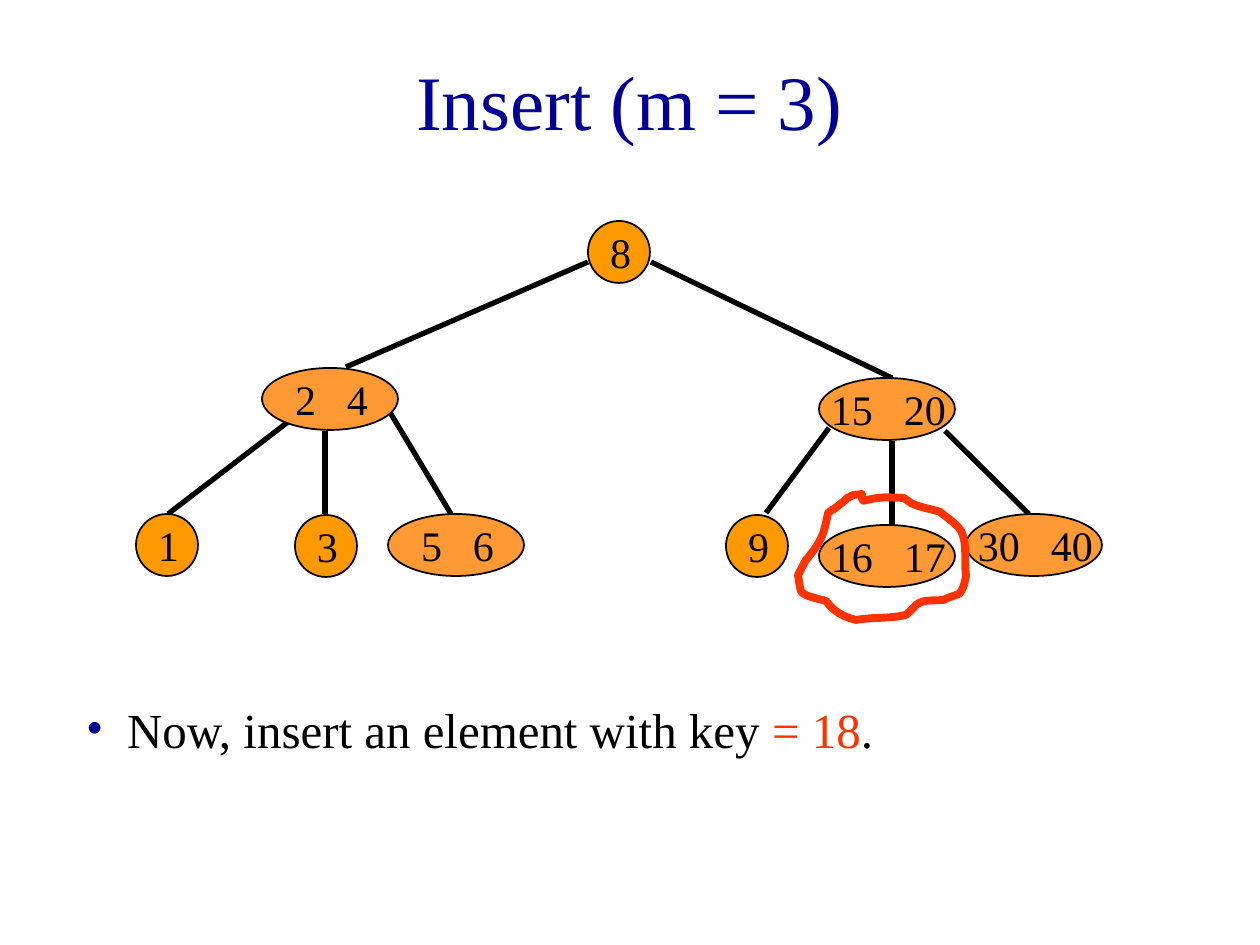
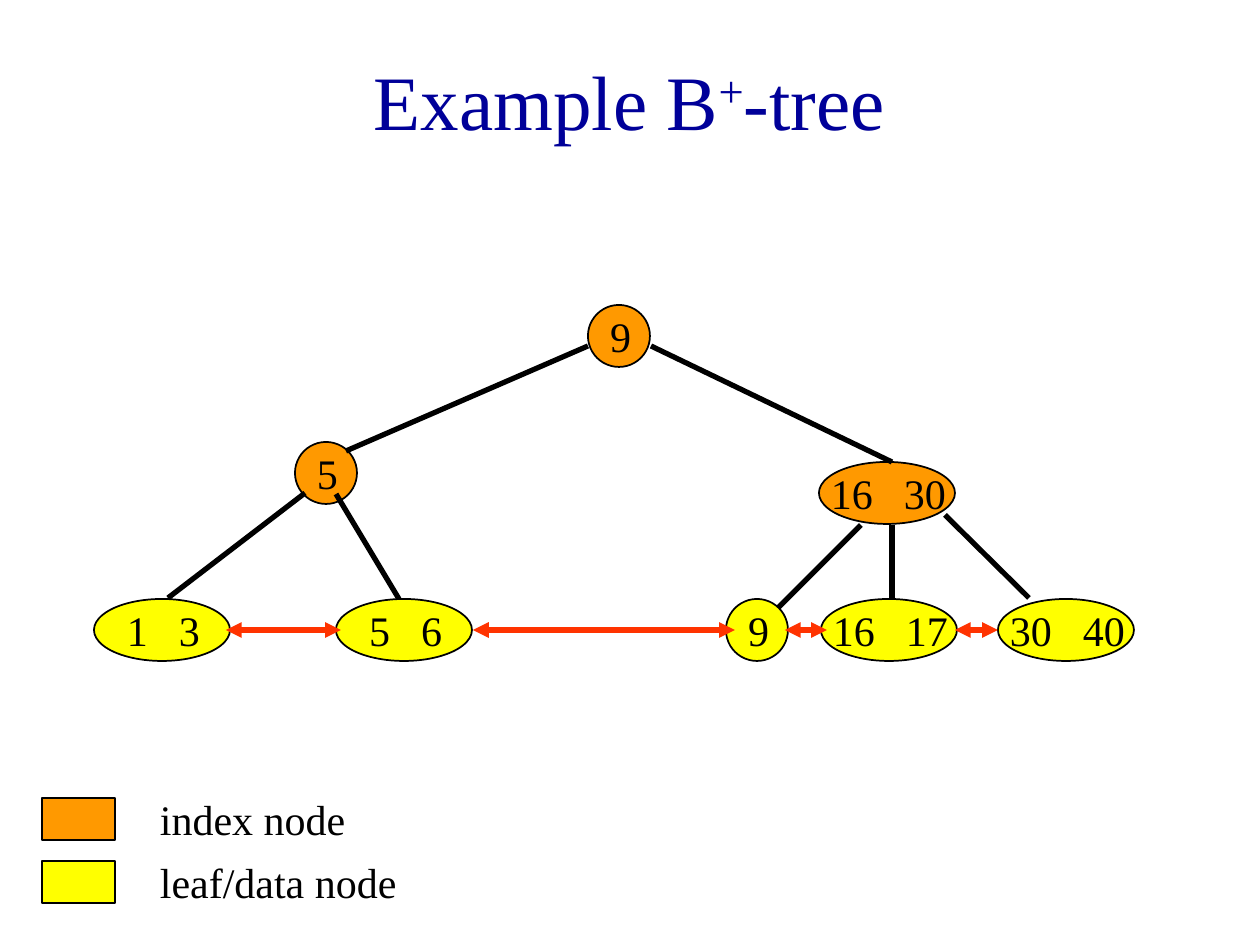
from dataclasses import dataclass
from lxml.etree import SubElement
from pptx import Presentation
from pptx.dml.color import RGBColor
from pptx.enum.shapes import MSO_CONNECTOR, MSO_SHAPE
from pptx.enum.text import MSO_ANCHOR, PP_ALIGN
from pptx.oxml.ns import qn
from pptx.util import Emu, Pt


@dataclass(frozen=True)
class Theme:
    font: str = "Times New Roman"
    title: str = "000099"
    ink: str = "000000"
    accent: str = "FF3300"
    index: str = "FF9900"
    pair: str = "FF9933"
    leaf: str = "FFFF00"
    title_size: int = 44
    body_size: int = 28
    key_size: int = 24


THEME = Theme()
PX_PER_INCH = 126
TITLE_BOX = (94, 21, 1071, 158)

# Tree geometry, relative to the tree's top left corner
NODE_HEIGHT = 62
PAIR_WIDTH = 136
DIGIT_WIDTH = 21
KEY_GAP = 31
KEY_SHIFT = 2
ROOT = (494, 0)
SHARED_EDGES = [
    (494, 41, 252, 146), (557, 41, 798, 157),   # root to its children
    (211, 188, 74, 293),                        # left child to first leaf
    (798, 220, 798, 304), (851, 210, 935, 293), # right child to last leaves
]

# Hand-drawn loop: start, then two controls and an end for each curve
LOOP_START = (64, 0)
LOOP_CURVES = [
    (60, 1, 55, 0, 52, 3), (49, 3, 48, 6, 45, 8),
    (25, 24, 43, 9, 30, 19), (28, 29, 26, 40, 21, 48),
    (18, 54, 13, 60, 8, 66), (5, 71, 3, 76, 0, 81),
    (1, 86, 1, 91, 3, 97), (4, 102, 21, 105, 28, 107),
    (35, 117, 45, 123, 58, 126), (74, 123, 92, 125, 108, 121),
    (112, 117, 115, 115, 118, 111), (125, 105, 137, 107, 146, 106),
    (151, 103, 156, 102, 161, 100), (166, 96, 168, 82, 168, 82),
    (166, 68, 169, 54, 165, 42), (164, 33, 149, 24, 142, 18),
    (134, 15, 123, 14, 115, 10), (113, 10, 107, 4, 105, 4),
    (63, 0, 64, 15, 64, 0),
]
CURVE_STEPS = 6


def px(length):
    return Emu(round(length * 914400 / PX_PER_INCH))


def rgb(color):
    return RGBColor.from_string(color)


def style_run(run, size, color):
    run.font.name = THEME.font
    run.font.size = Pt(size)
    run.font.color.rgb = rgb(color)


def add_text(slide, box, pieces, size, inset=(13, 6)):
    """Write (text, colour) pieces as one paragraph and return its frame."""
    frame = slide.shapes.add_textbox(*map(px, box)).text_frame
    frame.word_wrap = True
    frame.margin_left = frame.margin_right = px(inset[0])
    frame.margin_top = frame.margin_bottom = px(inset[1])
    for text, color in pieces:
        run = frame.paragraphs[0].add_run()
        run.text = text
        style_run(run, size, color)
    return frame


def add_filled(slide, preset, box, color, width):
    shape = slide.shapes.add_shape(preset, *map(px, box))
    shape.shadow.inherit = False
    shape.fill.solid()
    shape.fill.fore_color.rgb = rgb(color)
    shape.line.color.rgb = rgb(THEME.ink)
    shape.line.width = Pt(width)


def add_line(slide, ends, color, arrows=False):
    line = slide.shapes.add_connector(MSO_CONNECTOR.STRAIGHT, *map(px, ends))
    line.line.color.rgb = rgb(color)
    line.line.width = Pt(3)
    properties = line._element.spPr
    if arrows:
        for end in ("a:headEnd", "a:tailEnd"):
            SubElement(properties.find(qn("a:ln")), qn(end), type="triangle")
    SubElement(properties, qn("a:effectLst"))


def add_title(slide, pieces):
    frame = add_text(slide, TITLE_BOX, [(text, THEME.title) for text in pieces],
                     THEME.title_size)
    frame.vertical_anchor = MSO_ANCHOR.MIDDLE
    frame.paragraphs[0].alignment = PP_ALIGN.CENTER
    return frame.paragraphs[0]


def add_node(slide, left, top, keys, color):
    """Draw a node; two keys are set apart by a tab stop."""
    width = PAIR_WIDTH if len(keys) == 2 else NODE_HEIGHT
    add_filled(slide, MSO_SHAPE.OVAL, (left, top, width, NODE_HEIGHT), color, 1)
    digits = sum(map(len, keys)) * DIGIT_WIDTH
    keys_width = digits + KEY_GAP * (len(keys) - 1)
    key_left = left + (width - keys_width) // 2 + KEY_SHIFT
    frame = add_text(slide, (key_left, top, keys_width + 8, NODE_HEIGHT),
                     [("\t".join(keys), THEME.ink)], THEME.key_size, (0, 6))
    if len(keys) == 2:
        stops = SubElement(frame.paragraphs[0]._p.get_or_add_pPr(), qn("a:tabLst"))
        stop = px(len(keys[0]) * DIGIT_WIDTH + KEY_GAP)
        SubElement(stops, qn("a:tab"), pos=str(stop), algn="l")


def add_tree(slide, left, top, behind, edges, front):
    """Nodes are (x, y, keys, colour); edges run between the two node layers."""
    def add_nodes(nodes):
        for x, y, keys, color in nodes:
            add_node(slide, left + x, top + y, keys.split(), color)

    add_nodes(behind)
    for x1, y1, x2, y2 in SHARED_EDGES + edges:
        add_line(slide, (left + x1, top + y1, left + x2, top + y2), THEME.ink)
    add_nodes(front)


def add_loop(slide, left, top):
    x, y = LOOP_START
    points = []
    for x1, y1, x2, y2, x3, y3 in LOOP_CURVES:
        for step in range(1, CURVE_STEPS + 1):
            t = step / CURVE_STEPS
            weights = ((1 - t) ** 3, 3 * t * (1 - t) ** 2, 3 * t * t * (1 - t), t ** 3)
            across = sum(w * v for w, v in zip(weights, (x, x1, x2, x3)))
            down = sum(w * v for w, v in zip(weights, (y, y1, y2, y3)))
            points.append((px(left + across), px(top + down)))
        x, y = x3, y3
    builder = slide.shapes.build_freeform(px(left + LOOP_START[0]),
                                          px(top + LOOP_START[1]))
    builder.add_line_segments(points, close=True)
    loop = builder.convert_to_shape()
    loop.shadow.inherit = False
    loop.fill.background()
    loop.line.color.rgb = rgb(THEME.accent)
    loop.line.width = Pt(4.5)


def add_bullet(slide, box, pieces):
    frame = add_text(slide, box, pieces, THEME.body_size)
    layout = frame.paragraphs[0]._p.get_or_add_pPr()
    indent = px(41)
    layout.set("marL", str(indent))
    layout.set("indent", str(-indent))
    SubElement(SubElement(layout, qn("a:buClr")), qn("a:srgbClr"), val=THEME.title)
    SubElement(layout, qn("a:buSzPts"), val=str(THEME.key_size * 100))
    SubElement(layout, qn("a:buFont"), typeface=THEME.font)
    SubElement(layout, qn("a:buChar"), char="•")


def add_legend(slide, left, top, entries):
    for row, (label, color) in enumerate(entries):
        y = top + row * 63
        add_filled(slide, MSO_SHAPE.RECTANGLE, (left, y, 73, 42), color, 0.75)
        add_text(slide, (left + 105, y - 10, 430, 63), [(label, THEME.ink)],
                 THEME.key_size)


def build_insert_slide(slide):
    add_title(slide, ["Insert (m = 3)"])
    add_bullet(slide, (73, 693, 840, 72), [
        ("Now, insert an element with key ", THEME.ink),
        ("= 18", THEME.accent), (".", THEME.ink)])
    # Search tree with the full node circled
    left, top = 94, 221
    nodes = [
        (*ROOT, "8", THEME.index),
        (168, 147, "2 4", THEME.pair), (725, 157, "15 20", THEME.pair),
        (42, 293, "1", THEME.index), (201, 294, "3", THEME.index),
        (294, 293, "5 6", THEME.pair), (632, 294, "9", THEME.index),
        (872, 293, "30 40", THEME.pair), (725, 304, "16 17", THEME.pair),
    ]
    edges = [(231, 210, 231, 293), (294, 188, 357, 293), (735, 207, 672, 292)]
    add_tree(slide, left, top, [], edges, nodes)
    add_loop(slide, left + 704, top + 273)


def build_example_slide(slide):
    title = add_title(slide, ["Example B", "+", "-tree"])
    title.runs[1].font._element.set("baseline", "30000")
    # Index nodes over a row of leaves
    left, top = 94, 305
    index_nodes = [(*ROOT, "9", THEME.index), (201, 137, "5", THEME.index),
                   (725, 157, "16 30", THEME.index)]
    leaves = [(x, 294, keys, THEME.leaf) for x, keys in
              [(0, "1 3"), (242, "5 6"), (632, "9"), (727, "16 17"), (904, "30 40")]]
    edges = [(242, 189, 305, 294), (767, 220, 683, 304)]
    add_tree(slide, left, top, index_nodes, edges, leaves)
    # Links between neighbouring leaves
    link_y = top + 325
    for start, end in [(132, 247), (379, 641), (691, 733), (861, 904)]:
        add_line(slide, (left + start, link_y, left + end, link_y),
                 THEME.accent, arrows=True)
    add_legend(slide, 42, 798, [("index node", THEME.index),
                                ("leaf/data node", THEME.leaf)])


def main():
    deck = Presentation()
    deck.slide_width, deck.slide_height = px(1260), px(945)
    for build in (build_insert_slide, build_example_slide):
        build(deck.slides.add_slide(deck.slide_layouts[6]))
    deck.save("out.pptx")


if __name__ == "__main__":
    main()
